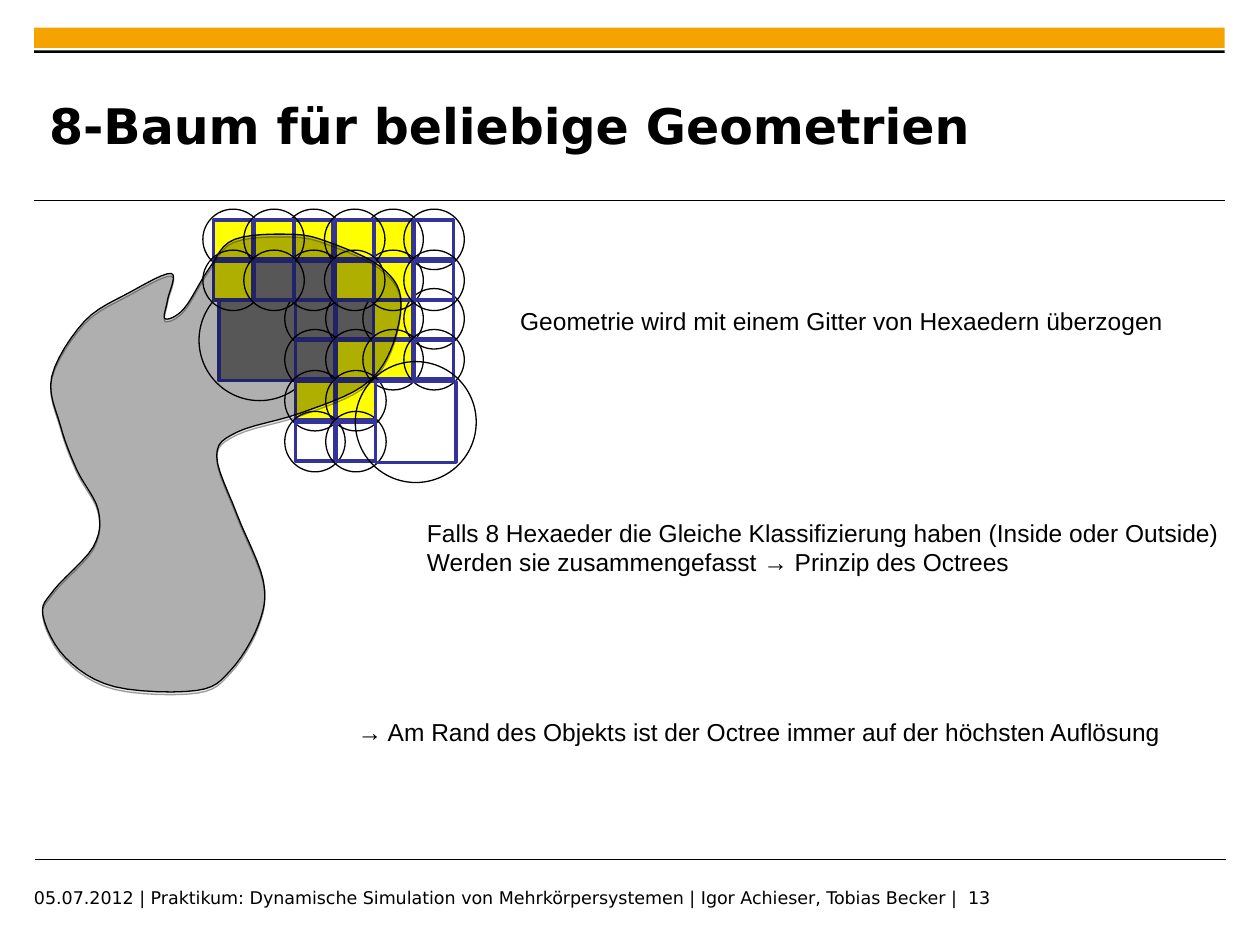
import dataclasses

import lxml.etree
import pptx
import pptx.dml.color
import pptx.enum.shapes
import pptx.enum.text
import pptx.oxml
import pptx.oxml.ns
import pptx.util

Inches = pptx.util.Inches
Pt = pptx.util.Pt
Kind = pptx.enum.shapes.MSO_SHAPE
Align = pptx.enum.text.PP_ALIGN
Anchor = pptx.enum.text.MSO_ANCHOR
qn = pptx.oxml.ns.qn


@dataclasses.dataclass
class Theme:
    ink: str = "000000"
    bar: str = "F5A300"
    grid: str = "333399"
    inner: str = "7F7F7F"
    border: str = "FFFF00"
    head: int = 28
    text: int = 14
    foot: int = 10
    sans: str = "Arial"
    wide: str = "DejaVu Sans"


theme = Theme()


def paint(shape, fill=None, edge=None, width=0.75):
    """Set fill and outline; None leaves that part out."""
    shape.shadow.inherit = False
    for part, color in ((shape.fill, fill), (shape.line.fill, edge)):
        if color:
            part.solid()
            part.fore_color.rgb = pptx.dml.color.RGBColor.from_string(color)
        else:
            part.background()
    if edge:
        shape.line.width = Pt(width)


def write(shape, text, *, size, face, bold=False, wrap=True, inset=True,
          anchor=Anchor.TOP):
    frame = shape.text_frame
    frame.auto_size = pptx.enum.text.MSO_AUTO_SIZE.NONE
    frame.word_wrap = wrap
    frame.vertical_anchor = anchor
    side, edge = (0.1, 0.05) if inset else (0, 0)
    frame.margin_left = frame.margin_right = Inches(side)
    frame.margin_top = frame.margin_bottom = Inches(edge)
    frame.text = text
    for para in frame.paragraphs:
        para.alignment = Align.LEFT
        for run in para.runs:
            run.font.name = face
            run.font.size = Pt(size)
            run.font.bold = bold
            run.font.color.rgb = pptx.dml.color.RGBColor.from_string(theme.ink)


deck = pptx.Presentation()
deck.slide_width, deck.slide_height = Inches(10), Inches(7.5)
slide = deck.slides.add_slide(deck.slide_layouts[5])
shapes = slide.shapes

# Frame: bar, rule below it, and two thin lines
for top, high, color in ((0.22, 0.16, theme.bar), (0.4, 0.02, theme.ink)):
    bar = shapes.add_shape(
        Kind.RECTANGLE, Inches(0.27), Inches(top), Inches(9.45), Inches(high))
    paint(bar, fill=color)
for left, top in ((0.27, 1.59), (0.28, 6.82)):
    rule = shapes.add_connector(
        pptx.enum.shapes.MSO_CONNECTOR.STRAIGHT,
        Inches(left), Inches(top), Inches(left + 9.45), Inches(top))
    rule.line.color.rgb = pptx.dml.color.RGBColor.from_string(theme.ink)
    rule.line.width = Pt(0.6)
    lxml.etree.SubElement(rule._element.spPr, qn("a:effectLst"))

# Title, footer and remarks
title = shapes.title
title.left, title.top = Inches(0.39), Inches(0.53)
title.width, title.height = Inches(7.52), Inches(0.92)
write(title, "8-Baum für beliebige Geometrien", size=theme.head,
      face=theme.wide, bold=True, inset=False, anchor=Anchor.MIDDLE)

footer = shapes.add_textbox(
    Inches(0.27), Inches(7.04), Inches(7.87), Inches(0.25))
write(footer, "05.07.2012 | Praktikum: Dynamische Simulation von "
      "Mehrkörpersystemen | Igor Achieser, Tobias Becker |  13",
      size=theme.foot, face=theme.wide, inset=False)

remarks = (
    (4.03, 2.38, 5.3, 0.34,
     "Geometrie wird mit einem Gitter von Hexaedern überzogen"),
    (3.29, 4.06, 6.48, 0.57,
     "Falls 8 Hexaeder die Gleiche Klassifizierung haben (Inside oder Outside)\n"
     "Werden sie zusammengefasst → Prinzip des Octrees"),
    (2.74, 5.64, 6.59, 0.34,
     "→ Am Rand des Objekts ist der Octree immer auf der höchsten Auflösung"),
)
for left, top, wide, high, text in remarks:
    box = shapes.add_textbox(
        Inches(left), Inches(top), Inches(wide), Inches(high))
    write(box, text, size=theme.text, face=theme.sans, wrap=False)

# Octree: one letter is a merged block, four are its cells row by row
# (i = inside, b = border, o = outside)
fills = {"i": theme.inner, "b": theme.border, "o": None}
blocks = (
    (1.58, 2.22, "i"), (2.26, 2.29, "iiib"), (2.88, 2.29, "bobo"),
    (2.26, 2.94, "bboo"), (2.82, 2.87, "o"), (2.88, 1.66, "bobo"),
    (2.25, 1.66, "bbib"), (1.61, 1.66, "bbbi"),
)
pitch = 0.65 / 2
for left, top, kinds in blocks:
    ring, side = (0.96, 0.64) if len(kinds) == 1 else (0.48, 0.31)
    inset = (ring - side) / 2
    for index, kind in enumerate(kinds):
        row, col = divmod(index, 2)
        x, y = left + col * pitch, top + row * pitch
        ball = shapes.add_shape(
            Kind.OVAL, Inches(x), Inches(y), Inches(ring), Inches(ring))
        paint(ball, edge=theme.ink)
        cell = shapes.add_shape(
            Kind.RECTANGLE, Inches(x + inset), Inches(y + inset),
            Inches(side), Inches(side))
        paint(cell, fill=fills[kind], edge=theme.grid, width=2)

# Body: a smooth closed curve through a few knots
knots = (
    (1.36, 2.17), (1.03, 2.32), (0.67, 2.55), (0.41, 2.99), (0.48, 3.38),
    (0.61, 3.73), (0.78, 4.05), (0.74, 4.34), (0.43, 4.68), (0.34, 4.88),
    (0.52, 5.22), (0.91, 5.45), (1.56, 5.48), (1.83, 5.32), (2.05, 4.96),
    (2.09, 4.61), (1.88, 4.08), (1.72, 3.62), (1.88, 3.43), (2.38, 3.28),
    (2.87, 3.07), (3.1, 2.78), (3.18, 2.36), (3.01, 2.11), (2.63, 1.93),
    (2.33, 1.86), (1.86, 1.9), (1.66, 2.13), (1.46, 2.45), (1.31, 2.53),
    (1.33, 2.38),
)
count, steps = len(knots), 6
curve = []
for index in range(count):
    near = [knots[(index + shift) % count] for shift in (-1, 0, 1, 2)]
    for step in range(steps):
        t = step / steps
        curve.append([
            Inches(b + t * (c - a) / 2
                   + t ** 2 * (2 * a - 5 * b + 4 * c - d) / 2
                   + t ** 3 * (3 * b - a - 3 * c + d) / 2)
            for a, b, c, d in zip(*near)])
trace = shapes.build_freeform(*curve[0])
trace.add_line_segments(curve[1:], close=True)
body = trace.convert_to_shape()
paint(body, fill=theme.ink, edge=theme.ink)

props = body._element.spPr
tint = props.find(qn("a:solidFill")).find(qn("a:srgbClr"))
lxml.etree.SubElement(tint, qn("a:alpha"), val="24000")
shade = lxml.etree.SubElement(
    props.find(qn("a:effectLst")), qn("a:outerShdw"),
    dist=str(int(Pt(1.6))), dir="5400000", rotWithShape="0")
tone = lxml.etree.SubElement(shade, qn("a:srgbClr"), val=theme.ink)
lxml.etree.SubElement(tone, qn("a:alpha"), val="38000")

deck.save("out.pptx")
